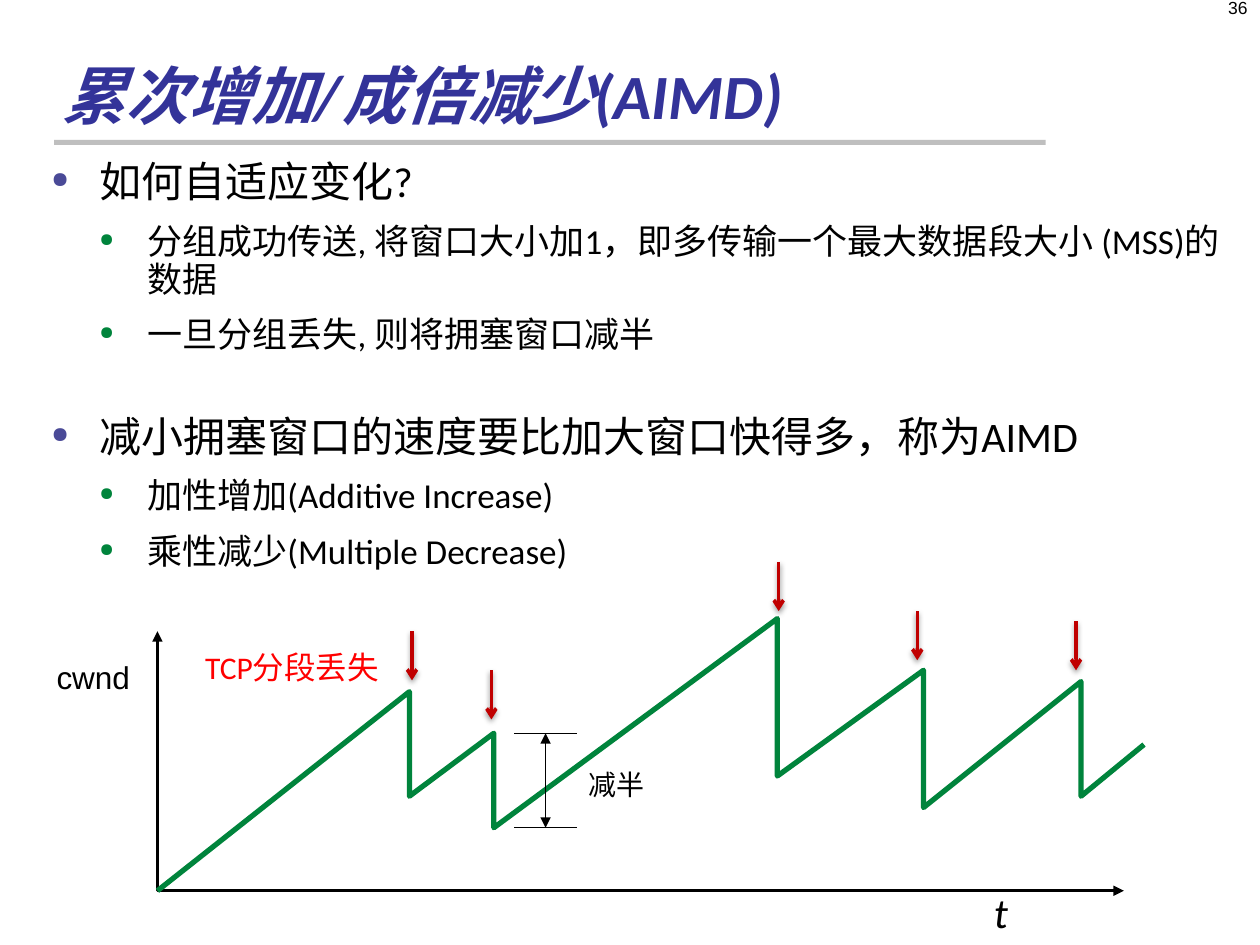
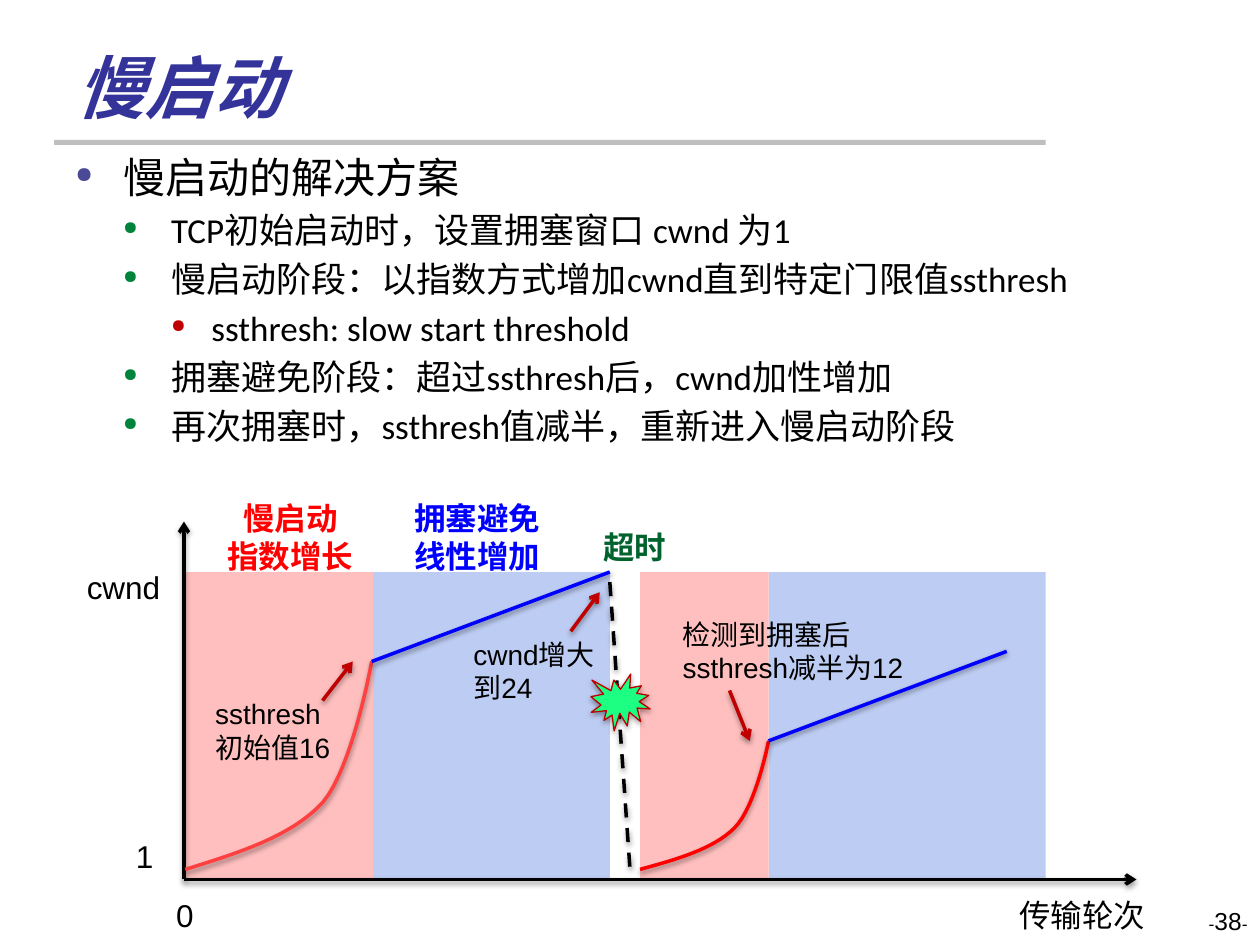
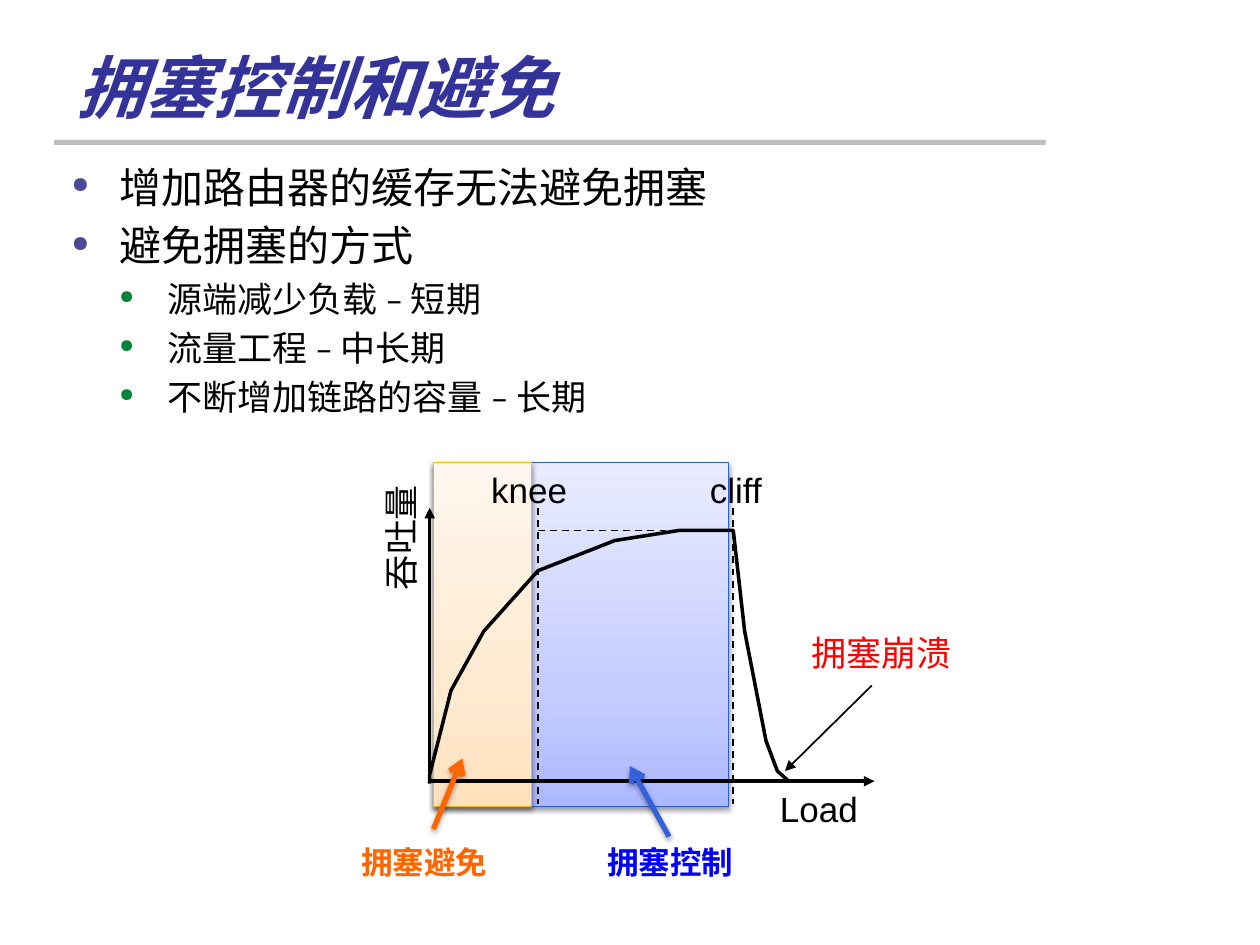
import pptx
import pptx.util
import pptx.dml.color
import pptx.enum.dml
import pptx.enum.shapes
import pptx.enum.text
import pptx.oxml
import pptx.oxml.ns
from lxml import etree

Inches = pptx.util.Inches
Pt = pptx.util.Pt
RGBColor = pptx.dml.color.RGBColor
Align = pptx.enum.text.PP_ALIGN
Anchor = pptx.enum.text.MSO_ANCHOR
Preset = pptx.enum.shapes.MSO_SHAPE
qn = pptx.oxml.ns.qn

BLACK = RGBColor(0x00, 0x00, 0x00)
TITLE_INDIGO = RGBColor(0x33, 0x33, 0x99)
RULE_GRAY = RGBColor(0xBF, 0xBF, 0xBF)
GREEN = RGBColor(0x00, 0x84, 0x3C)
DARK_GREEN = RGBColor(0x00, 0x63, 0x2D)
BURST_GREEN = RGBColor(0x1C, 0xFF, 0x83)
BURST_EDGE = RGBColor(0xBC, 0x00, 0x00)
DARK_RED = RGBColor(0xC0, 0x00, 0x00)
RED = RGBColor(0xFF, 0x00, 0x00)
SOFT_RED = RGBColor(0xFF, 0x40, 0x40)
PINK = RGBColor(0xFF, 0xBF, 0xBF)
BLUE = RGBColor(0x00, 0x00, 0xFF)
PALE_BLUE = RGBColor(0xBD, 0xCC, 0xF2)
ARROW_BLUE = RGBColor(0x32, 0x61, 0xDA)
EDGE_BLUE = RGBColor(0x2D, 0x5D, 0xD9)
ORANGE = RGBColor(0xFF, 0x66, 0x00)
EDGE_GOLD = RGBColor(0xF9, 0xBC, 0x00)
BLUE_STOPS = ((0, "ADB9FF"), (35, "C5CDFF"), (100, "E9ECFF"))
ORANGE_STOPS = ((0, "FFE2BD"), (35, "FFEAD1"), (100, "FFF7EE"))

# Per level: text size, left margin, hanging indent, bullet colour
LEVELS = (
    (24, 0.38, 0.38, RGBColor(0x4A, 0x4A, 0x97)),
    (20, 0.76, 0.38, GREEN),
    (20, 1.08, 0.32, DARK_RED),
)


def add_child(parent, tag, **attributes):
    child = etree.SubElement(parent, qn(tag))
    for name, value in attributes.items():
        child.set(name, str(value))
    return child


def set_effects(shape, shadow):
    """Replace the theme's shadow by none, or by a soft one straight below."""
    effects = add_child(shape._element.spPr, "a:effectLst")
    if shadow:
        outer = add_child(effects, "a:outerShdw", blurRad=Pt(3.1), dist=Pt(1.6),
                          dir=5400000, rotWithShape=0)
        color = add_child(outer, "a:srgbClr", val="000000")
        add_child(color, "a:alpha", val=38000)


def style_line(shape, color, width, head=None, tail=None, dashed=False):
    shape.line.color.rgb = color
    shape.line.width = Pt(width)
    if dashed:
        shape.line.dash_style = pptx.enum.dml.MSO_LINE.DASH
    outline = shape.line._get_or_add_ln()
    for tag, kind in (("a:headEnd", head), ("a:tailEnd", tail)):
        if kind:
            add_child(outline, tag, type=kind)


def add_line(page, start, end, color=BLACK, width=2, shadow=False, **ends):
    line = page.shapes.add_connector(
        pptx.enum.shapes.MSO_CONNECTOR.STRAIGHT,
        *(Inches(value) for value in (*start, *end)))
    style_line(line, color, width, **ends)
    set_effects(line, shadow)


def add_path(page, points, color=BLACK, width=2, shadow=False, **ends):
    corners = [(Inches(x), Inches(y)) for x, y in points]
    builder = page.shapes.build_freeform(*corners[0])
    builder.add_line_segments(corners[1:], close=False)
    path = builder.convert_to_shape()
    path.fill.background()
    style_line(path, color, width, **ends)
    set_effects(path, shadow)


def bezier_points(points, steps=16):
    """Sample chained cubic curves given as start, control, control, end, ..."""
    samples = [points[0]]
    for first in range(0, len(points) - 1, 3):
        curve = points[first:first + 4]
        for step in range(1, steps + 1):
            t = step / steps
            weights = ((1 - t) ** 3, 3 * t * (1 - t) ** 2, 3 * t * t * (1 - t), t ** 3)
            samples.append(tuple(
                sum(weight * point[axis] for weight, point in zip(weights, curve))
                for axis in (0, 1)))
    return samples


def add_block(page, box, fill=None, stops=None, edge=None, shadow=False,
              preset=Preset.RECTANGLE):
    """Add a preset shape with a plain fill, or gradient stops from bottom to top."""
    block = page.shapes.add_shape(preset, *(Inches(value) for value in box))
    if stops:
        gradient = etree.Element(qn("a:gradFill"), rotWithShape="1")
        stop_list = add_child(gradient, "a:gsLst")
        for position, color in stops:
            stop = add_child(stop_list, "a:gs", pos=position * 1000)
            add_child(stop, "a:srgbClr", val=color)
        add_child(gradient, "a:lin", ang=270 * 60000, scaled=0)
        block._element.spPr.append(gradient)
    else:
        block.fill.solid()
        block.fill.fore_color.rgb = fill
    if edge:
        style_line(block, edge, 0.75)
    else:
        block.line.fill.background()
    set_effects(block, shadow)


def format_span(span, size, color, font, bold=False, italic=False):
    span.font.size = Pt(size)
    span.font.color.rgb = color
    span.font.name = font
    span.font.bold = bold
    span.font.italic = italic
    add_child(span.font._element, "a:ea", typeface=font)


def add_label(page, box, text, size=18, color=BLACK, font="Arial", bold=False,
              italic=False, align=Align.LEFT, anchor=Anchor.TOP, wrap=False):
    label = page.shapes.add_textbox(*(Inches(value) for value in box))
    frame = label.text_frame
    frame.text = text
    frame.word_wrap = wrap
    frame.vertical_anchor = anchor
    for para in frame.paragraphs:
        para.alignment = align
        for span in para.runs:
            format_span(span, size, color, font, bold, italic)
    return label


def add_title(page, text, box=(0.51, 0.28, 8.25, 0.78), size=39):
    add_block(page, (0.43, 1.11, 7.87, 0.04), RULE_GRAY)
    add_label(page, box, text, size, TITLE_INDIGO, "Calibri", bold=True,
              italic=True, anchor=Anchor.BOTTOM, wrap=True)


def add_bullets(page, box, items, after=0, line_spacing=1.0):
    """Add (level, text) items; a third value overrides the space after."""
    body = page.shapes.add_textbox(*(Inches(value) for value in box))
    frame = body.text_frame
    frame.word_wrap = True
    frame.text = "\n".join(item[1] for item in items)
    for para, (level, _, *gap) in zip(frame.paragraphs, items):
        size, margin, hanging, bullet_color = LEVELS[level]
        para.level = level
        para.line_spacing = line_spacing
        para.space_before = Pt(size * 0.2)
        para.space_after = Pt(gap[0] if gap else after)
        properties = para._p.get_or_add_pPr()
        properties.set("marL", str(Inches(margin)))
        properties.set("indent", str(-Inches(hanging)))
        color = add_child(properties, "a:buClr")
        add_child(color, "a:srgbClr", val=bullet_color)
        add_child(properties, "a:buSzPct", val=53000)
        add_child(properties, "a:buChar", char="●")
        format_span(para.runs[0], size, BLACK, "Calibri")


def add_page_number(page, top, pieces):
    label = add_label(page, (7.67, top, 2.33, 0.4), "", align=Align.RIGHT, wrap=True)
    for text, size in pieces:
        span = label.text_frame.paragraphs[0].add_run()
        span.text = text
        format_span(span, size, BLACK, "Arial")


def build_aimd(page):
    add_title(page, "累次增加/成倍减少(AIMD)", (0.4, 0.23, 8.04, 0.87), 36)
    add_bullets(page, (0.31, 1.23, 9.5, 5.75), (
        (0, "如何自适应变化?"),
        (1, "分组成功传送, 将窗口大小加1，即多传输一个最大数据段大小 (MSS)的数据"),
        (1, "一旦分组丢失, 则将拥塞窗口减半", 30),
        (0, "减小拥塞窗口的速度要比加大窗口快得多，称为AIMD"),
        (1, "加性增加(Additive Increase)"),
        (1, "乘性减少(Multiple Decrease)"),
    ), after=6, line_spacing=0.9)
    add_page_number(page, -0.07, [("36", 10)])

    add_path(page, [(1.25, 5.01), (1.25, 7.07), (8.92, 7.07)], width=1.5,
             head="triangle", tail="triangle")
    sawtooth = [(1.25, 7.07)]
    for x, peak, trough in ((3.25, 5.49, 6.32), (3.92, 5.82, 6.57), (6.17, 4.91, 6.16),
                            (7.33, 5.32, 6.41), (8.58, 5.41, 6.32)):
        sawtooth += [(x, peak), (x, trough)]
    add_path(page, sawtooth + [(9.08, 5.91)], GREEN, 3)
    for y in (6.57, 5.82):
        add_line(page, (4.08, y), (4.58, y), width=0.75)
    add_line(page, (4.33, 5.82), (4.33, 6.57), width=0.75,
             head="triangle", tail="triangle")

    add_label(page, (7.79, 6.99, 0.31, 0.51), "t", 24, font="Calibri", italic=True)
    add_label(page, (4.57, 6.04, 0.65, 0.37), "减半", 16, font="Calibri")
    add_label(page, (1.53, 5.09, 1.6, 0.4), "TCP分段丢失", color=RED,
              font="Calibri", wrap=True)
    add_label(page, (0.35, 5.17, 0.79, 0.4), "cwnd")
    for x, top in ((3.27, 5.01), (3.9, 5.32), (6.18, 4.46), (7.28, 4.85), (8.54, 4.93)):
        add_line(page, (x, top), (x, top + 0.39), DARK_RED, shadow=True, tail="arrow")


def build_slow_start(page):
    add_title(page, "慢启动")
    add_bullets(page, (0.5, 1.15, 9, 2.6), (
        (0, "慢启动的解决方案"),
        (1, "TCP初始启动时，设置拥塞窗口 cwnd 为1"),
        (1, "慢启动阶段：以指数方式增加cwnd直到特定门限值ssthresh"),
        (2, "ssthresh: slow start threshold"),
        (1, "拥塞避免阶段：超过ssthresh后，cwnd加性增加"),
        (1, "再次拥塞时，ssthresh值减半，重新进入慢启动阶段"),
    ))
    add_page_number(page, 7.14, [("-", 10), ("38", 14), ("-", 10)])

    for left, width, color in ((2.95, 1.89, PALE_BLUE), (6.1, 2.2, PALE_BLUE),
                               (5.08, 1.02, PINK), (1.46, 1.5, PINK)):
        add_block(page, (left, 4.54, width, 2.44), color)
    origin = (1.46, 6.98)
    for tip in ((9.02, 6.98), (1.46, 4.14)):
        add_line(page, origin, tip, shadow=True, tail="arrow")

    first_growth = ((1.47, 6.9), (1.89, 6.77), (2.31, 6.64), (2.56, 6.37),
                    (2.8, 6.09), (2.95, 5.25), (2.95, 5.25))
    second_growth = ((5.08, 6.9), (5.37, 6.82), (5.66, 6.74), (5.83, 6.57),
                     (6, 6.4), (6.1, 5.88), (6.1, 5.88))
    for growth, color in ((first_growth, SOFT_RED), (second_growth, RED)):
        add_path(page, bezier_points(growth), color, shadow=True)
        x, y = growth[-1]
        add_line(page, (x, y), (x + 1.89, y - 0.71), BLUE, shadow=True)
    add_line(page, (4.84, 4.62), (5, 6.9), shadow=True, dashed=True)

    for box, text in (((0.59, 4.46, 0.79, 0.4), "cwnd"),
                      ((7.99, 7.06, 1.21, 0.4), "传输轮次"),
                      ((1.3, 7.06, 0.34, 0.4), "0"),
                      ((0.98, 6.59, 0.34, 0.4), "1")):
        add_label(page, box, text)
    add_label(page, (1.69, 3.91, 1.23, 0.71), "慢启动\n指数增长", color=RED,
              bold=True, align=Align.CENTER)
    add_label(page, (3.19, 3.91, 1.23, 0.71), "拥塞避免\n线性增加", color=BLUE, bold=True)
    for box, text in (((1.61, 5.48, 1.12, 0.64), "ssthresh\n初始值16"),
                      ((3.66, 5.01, 1.17, 0.64), "cwnd增大\n到24"),
                      ((5.32, 4.85, 2.05, 0.64), "检测到拥塞后ssthresh减半为12")):
        add_label(page, box, text, 16, wrap=True)
    for start, end in (((2.56, 5.56), (2.8, 5.25)), ((4.53, 5.01), (4.76, 4.7)),
                       ((5.79, 5.48), (5.95, 5.88))):
        add_line(page, start, end, DARK_RED, shadow=True, tail="arrow")
    add_block(page, (4.69, 5.35, 0.47, 0.45), BURST_GREEN, edge=BURST_EDGE,
              shadow=True, preset=Preset.EXPLOSION1)
    add_label(page, (4.69, 4.14, 0.71, 0.4), "超时", color=DARK_GREEN,
              font="Noto Sans CJK SC", bold=True)


def build_congestion_control(page):
    for width, stops, edge in ((2.34, BLUE_STOPS, EDGE_BLUE),
                               (0.78, ORANGE_STOPS, EDGE_GOLD)):
        add_block(page, (3.44, 3.67, width, 2.73), stops=stops, edge=edge, shadow=True)
    add_title(page, "拥塞控制和避免")
    add_bullets(page, (0.47, 1.23, 9.53, 5.83), (
        (0, "增加路由器的缓存无法避免拥塞"),
        (0, "避免拥塞的方式"),
        (1, "源端减少负载 – 短期"),
        (1, "流量工程 – 中长期"),
        (1, "不断增加链路的容量 – 长期"),
    ))

    for tip in ((3.41, 4.03), (6.94, 6.2)):
        add_line(page, (3.41, 6.2), tip, tail="triangle")
    add_path(page, [(3.41, 6.22), (3.41, 6.15), (3.58, 5.48), (3.84, 5.01),
                    (4.27, 4.53), (4.88, 4.29), (5.39, 4.21), (5.82, 4.21),
                    (5.91, 5.01), (6.08, 5.88), (6.17, 6.12), (6.26, 6.2)])
    knee, cliff = 4.27, 5.82
    for start, end in (((cliff, 4.03), (cliff, 6.38)), ((knee, 4.03), (knee, 6.38)),
                       ((knee, 4.21), (cliff, 4.21))):
        add_line(page, start, end, width=1, dashed=True)

    for box, text, color, rotation in (
            ((6.05, 6.2, 0.9, 0.43), "Load", BLACK, 0),
            ((2.66, 4.05, 1.04, 0.43), "吞吐量", BLACK, 270),
            ((3.7, 3.67, 1, 0.43), "knee", BLACK, 0),
            ((5.44, 3.67, 0.8, 0.43), "cliff", BLACK, 0),
            ((6.3, 4.96, 1.4, 0.44), "拥塞崩溃", RED, 0)):
        label = add_label(page, box, text, 20, color, align=Align.CENTER)
        label.rotation = rotation
    add_line(page, (6.92, 5.44), (6.23, 6.12), width=1, tail="triangle")

    for left, text, text_color, start, end, arrow_color in (
            (4.72, "拥塞控制", BLUE, (5.31, 6.64), (5, 6.08), ARROW_BLUE),
            (2.77, "拥塞避免", ORANGE, (3.44, 6.58), (3.67, 6.02), ORANGE)):
        add_label(page, (left, 6.64, 1.22, 0.4), text, color=text_color, bold=True)
        add_line(page, start, end, arrow_color, 3, shadow=True, tail="arrow")


def main():
    deck = pptx.Presentation()
    deck.slide_width = Inches(10)
    deck.slide_height = Inches(7.5)
    for build in (build_aimd, build_slow_start, build_congestion_control):
        build(deck.slides.add_slide(deck.slide_layouts[6]))
    deck.save("out.pptx")


if __name__ == "__main__":
    main()
